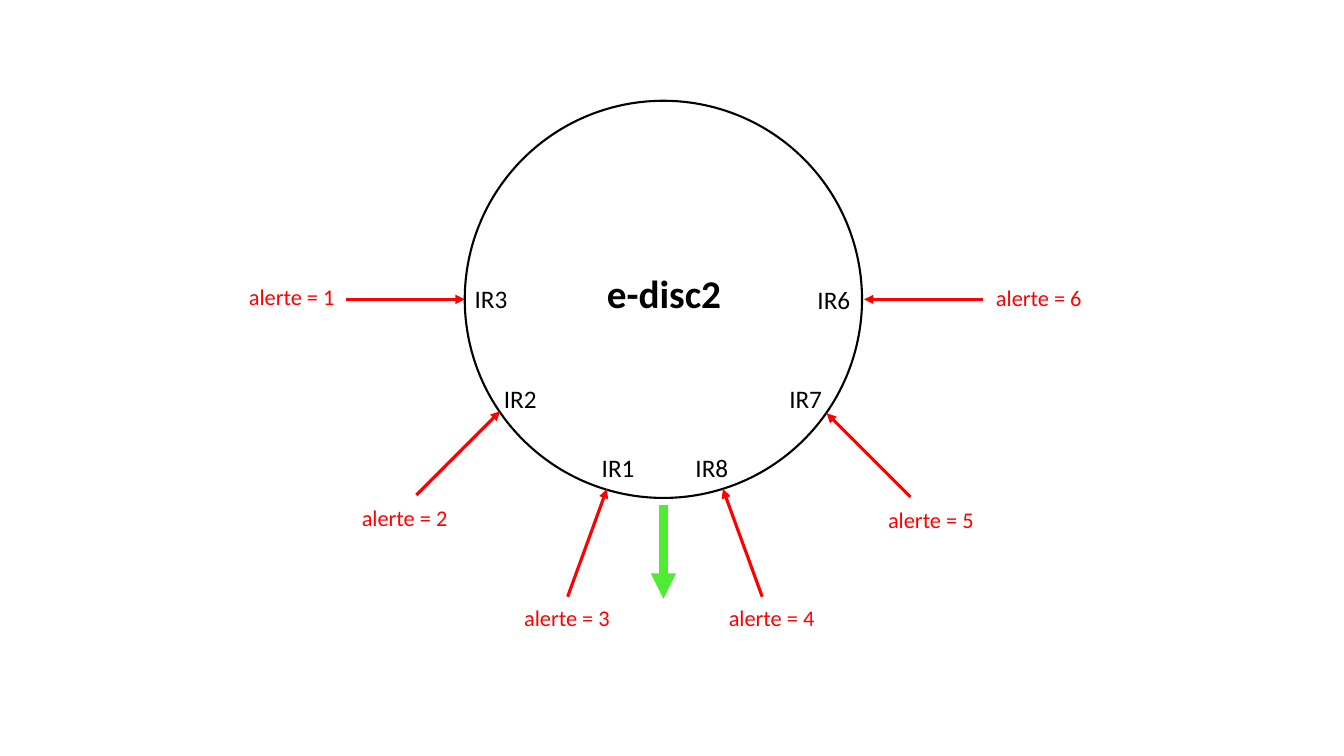
from lxml.etree import SubElement
from pptx import Presentation
from pptx.dml.color import RGBColor
from pptx.enum.shapes import MSO_CONNECTOR, MSO_SHAPE
from pptx.enum.text import MSO_AUTO_SIZE, PP_ALIGN
from pptx.oxml.ns import qn
from pptx.util import Inches, Pt

BLACK, RED, GREEN = "000000", "FF0000", "4FEB35"
FONT = "Calibri"

# Offsets in inches from the robot's centre:
# sensor, its label's corner, arrow start, arrow tip, alert label's corner
SENSORS = [
    ("IR3", (-1.97, -0.21), (-3.15, 0), (-1.97, 0), (-4.21, -0.21)),
    ("IR2", (-1.68, 0.78), (-2.45, 1.94), (-1.62, 1.11), (-3.09, 1.98)),
    ("IR1", (-0.71, 1.47), (-0.95, 2.95), (-0.56, 1.88), (-1.48, 2.97)),
    ("IR8", (0.22, 1.47), (0.98, 2.95), (0.59, 1.88), (0.55, 2.97)),
    ("IR7", (1.15, 0.78), (2.45, 1.96), (1.62, 1.13), (2.13, 2.0)),
    ("IR6", (1.43, -0.2), (3.17, 0), (1.99, 0), (3.2, -0.2)),
]


def rgb(color):
    return RGBColor.from_string(color)


def add_label(slide, text, corner, extent, size, color=BLACK,
              bold=False, align=PP_ALIGN.LEFT, wrap=True):
    label = slide.shapes.add_textbox(*map(Inches, corner + extent))
    frame = label.text_frame
    frame.text = text
    frame.word_wrap = wrap
    frame.auto_size = MSO_AUTO_SIZE.SHAPE_TO_FIT_TEXT
    paragraph = frame.paragraphs[0]
    paragraph.alignment = align
    font = paragraph.runs[0].font
    font.name, font.size, font.bold = FONT, Pt(size), bold
    font.color.rgb = rgb(color)


def add_arrow(slide, start, tip, color, width):
    arrow = slide.shapes.add_connector(
        MSO_CONNECTOR.STRAIGHT, *map(Inches, start + tip))
    arrow.line.color.rgb = rgb(color)
    arrow.line.width = Pt(width)
    SubElement(arrow.line._get_or_add_ln(), qn("a:tailEnd"), type="triangle")
    SubElement(arrow._element.spPr, qn("a:effectLst"))


def add_robot(slide, left, top, diameter):
    """Draw the round robot with its sensors, alerts and heading."""
    radius = diameter / 2

    def place(offset):
        return left + radius + offset[0], top + radius + offset[1]

    body = slide.shapes.add_shape(
        MSO_SHAPE.OVAL, *map(Inches, (left, top, diameter, diameter)))
    body.shadow.inherit = False
    body.fill.background()
    body.line.color.rgb = rgb(BLACK)
    body.line.width = Pt(1.5)
    add_label(slide, "e-disc2", place((-1, -0.35)), (2.01, 0.57), 28,
              bold=True, align=PP_ALIGN.CENTER)

    for number, (sensor, label, start, tip, alert) in enumerate(SENSORS, 1):
        add_label(slide, sensor, place(label), (0.56, 0.42), 18)
        add_arrow(slide, place(start), place(tip), RED, 2.25)
        add_label(slide, f"alerte = {number}", place(alert), (1.06, 0.37), 16,
                  RED, wrap=False)

    add_arrow(slide, place((0, radius + 0.07)), place((0, radius + 1)),
              GREEN, 6)


def main():
    deck = Presentation()
    deck.slide_width, deck.slide_height = Inches(13.33), Inches(7.5)
    slide = deck.slides.add_slide(deck.slide_layouts[6])
    add_robot(slide, 4.61, 1, 3.94)
    deck.save("out.pptx")


if __name__ == "__main__":
    main()
